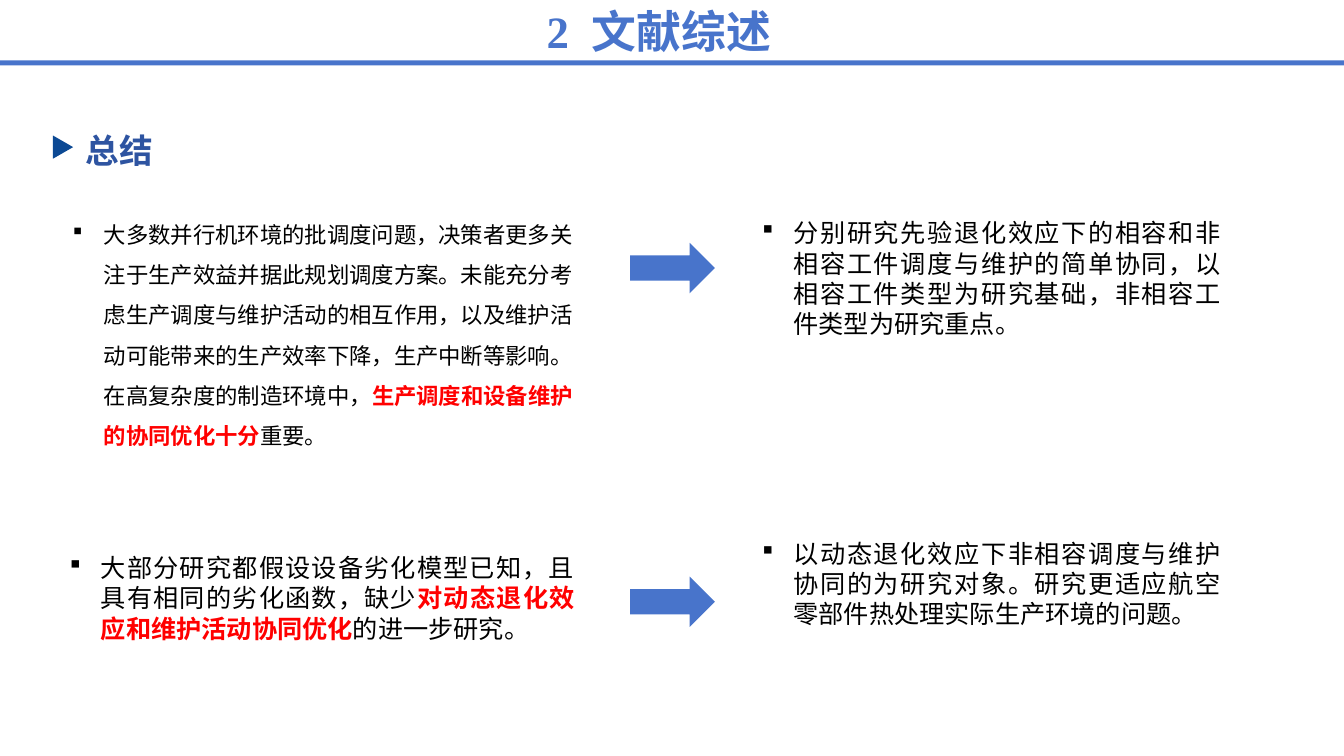
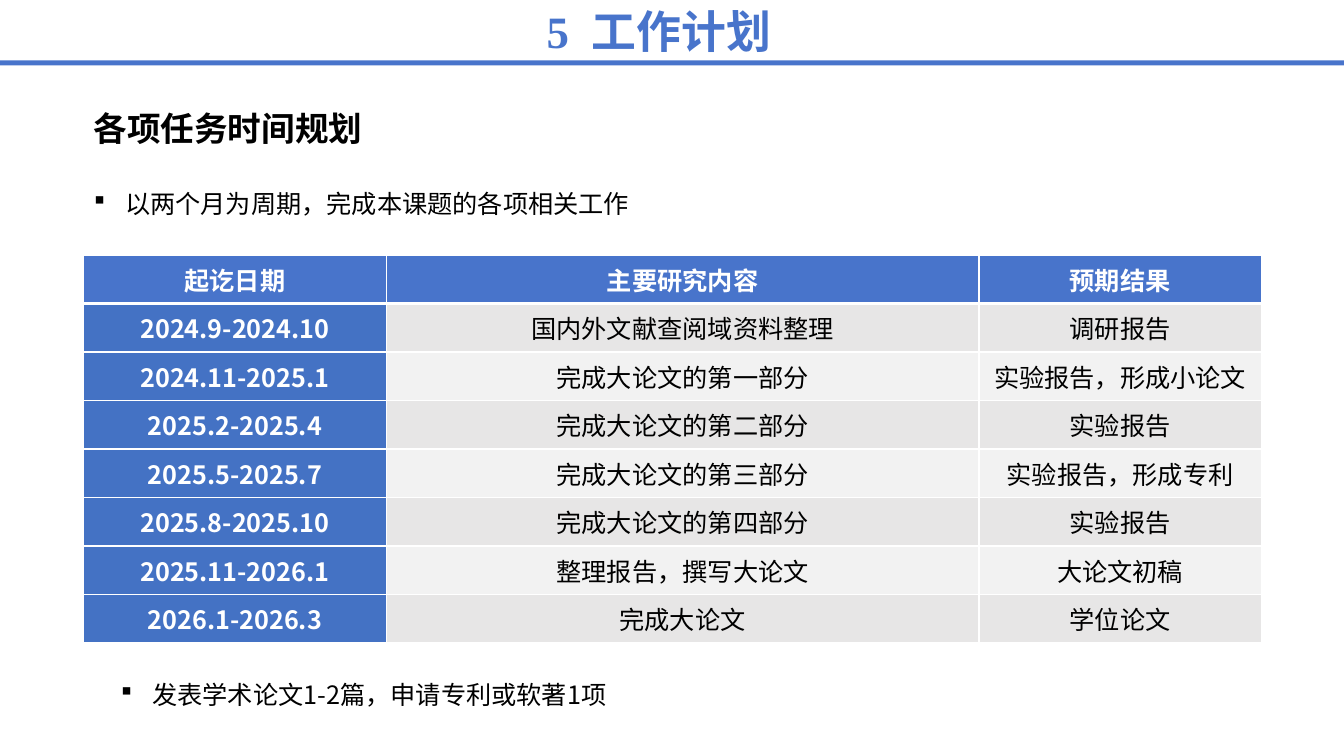
"""Build two thesis slides: a literature summary and a work plan."""
from dataclasses import dataclass

from lxml import etree
from pptx import Presentation
from pptx.dml.color import RGBColor
from pptx.enum.shapes import MSO_SHAPE
from pptx.enum.text import MSO_ANCHOR, MSO_AUTO_SIZE, PP_ALIGN
from pptx.oxml.ns import qn
from pptx.util import Inches, Pt

LEFT, MID, JUST = PP_ALIGN.LEFT, PP_ALIGN.CENTER, PP_ALIGN.JUSTIFY
TOP, CENTRE = MSO_ANCHOR.TOP, MSO_ANCHOR.MIDDLE
RECT, ARROW, WEDGE = MSO_SHAPE.RECTANGLE, MSO_SHAPE.RIGHT_ARROW, MSO_SHAPE.ISOSCELES_TRIANGLE
FIXED = MSO_AUTO_SIZE.NONE


@dataclass(frozen=True)
class Theme:
    blue: str = "4874CB"
    navy: str = "2E54A1"
    wedge: str = "0C4994"
    date: str = "4472C4"
    odd: str = "E7E6E6"
    even: str = "F2F2F2"
    ink: str = "000000"
    red: str = "FF0000"
    white: str = "FFFFFF"
    sans: str = "Noto Sans CJK SC"
    serif: str = "Times New Roman"
    title: int = 32
    head: int = 24
    body: int = 18
    small: int = 16


T = Theme()


def write(frame, runs, size=T.body, font=T.sans, align=LEFT, anchor=TOP, space=1.0, bullet=False):
    frame.word_wrap, frame.auto_size = True, FIXED
    frame.vertical_anchor = anchor
    para = frame.paragraphs[0]
    para.alignment, para.line_spacing = align, space
    para.space_before = Pt(0)
    if bullet:
        props = para._p.get_or_add_pPr()
        props.set("marL", str(Inches(0.31)))
        props.set("indent", str(-Inches(0.31)))
        etree.SubElement(props, qn("a:buFont"), typeface="Wingdings")
        etree.SubElement(props, qn("a:buChar"), char="§")
    for text, color, bold in runs:
        run = para.add_run()
        run.text = text
        run.font.size, run.font.bold, run.font.name = Pt(size), bold, font
        run.font.color.rgb = RGBColor.from_string(color)
        etree.SubElement(run._r.get_or_add_rPr(), qn("a:ea"), typeface=T.sans)
    return para


def draw(slide, kind, color, *box):
    shape = slide.shapes.add_shape(kind, *map(Inches, box))
    shape.shadow.inherit = False
    shape.fill.solid()
    shape.fill.fore_color.rgb = RGBColor.from_string(color)
    shape.line.fill.background()
    return shape


deck = Presentation()
deck.slide_width, deck.slide_height = Inches(13.33), Inches(7.5)

summary = (
    ((0.62, 2.01, 5.21, 2.73), T.small, LEFT, 1.5, (
        ("大多数并行机环境的批调度问题，决策者更多关注于生产效益并据此规划调度方案。"
         "未能充分考虑生产调度与维护活动的相互作用，以及维护活动可能带来的生产效率下降，"
         "生产中断等影响。在高复杂度的制造环境中，", T.ink, False),
        ("生产调度和设备维护的协同优化十分", T.red, True),
        ("重要。", T.ink, False))),
    ((0.59, 5.43, 5.21, 1.1), T.body, JUST, 1.0, (
        ("大部分研究都假设设备劣化模型已知，且具有相同的劣化函数，缺少", T.ink, False),
        ("对动态退化效应和维护活动协同优化", T.red, True),
        ("的进一步研究。", T.ink, False))),
    ((7.46, 2.11, 4.75, 1.43), T.body, JUST, 1.0, (
        ("分别研究先验退化效应下的相容和非相容工件调度与维护的简单协同，"
         "以相容工件类型为研究基础，非相容工件类型为研究重点。", T.ink, False),)),
    ((7.46, 5.29, 4.75, 1.1), T.body, JUST, 1.0, (
        ("以动态退化效应下非相容调度与维护协同的为研究对象。"
         "研究更适应航空零部件热处理实际生产环境的问题。", T.ink, False),)),
)
goals = (
    ((0.83, 1.82, 8.99, 0.43), T.body, LEFT, 1.0,
     (("以两个月为周期，完成本课题的各项相关工作", T.ink, False),)),
    ((1.1, 6.69, 8.99, 0.43), T.body, LEFT, 1.0,
     (("发表学术论文1-2篇，申请专利或软著1项", T.ink, False),)),
)

slides = []
for layout, number, name, lists in ((4, "2", "文献综述", summary), (3, "5", "工作计划", goals)):
    slide = deck.slides.add_slide(deck.slide_layouts[layout])
    slides.append(slide)
    draw(slide, RECT, T.blue, 0, 0.6, 13.33, 0.05)
    title, *bodies = slide.placeholders
    title.left, title.top, title.width, title.height = map(Inches, (-0.17, 0.02, 13.41, 0.57))
    para = write(title.text_frame, [(part, T.blue, True) for part in (number, " ", name)],
                 T.title, T.serif, MID, CENTRE)
    para.runs[1]._r.get_or_add_rPr().set("spc", "800")
    for body, (box, size, align, space, runs) in zip(bodies, lists):
        body.left, body.top, body.width, body.height = map(Inches, box)
        write(body.text_frame, runs, size, align=align, space=space, bullet=True)

review, plan = slides

draw(review, WEDGE, T.wedge, 0.51, 1.36, 0.23, 0.2).rotation = 90
for top in (2.41, 5.72):
    draw(review, ARROW, T.blue, 6.25, top, 0.84, 0.5)
frame = review.shapes.add_textbox(*map(Inches, (0.72, 1.12, 5.87, 0.67))).text_frame
frame.margin_left = frame.margin_right = Inches(0.13)
frame.margin_top = frame.margin_bottom = Inches(0.07)
write(frame, [("总结", T.navy, True)], T.head, T.serif, space=1.25)

frame = plan.shapes.add_textbox(*map(Inches, (0.83, 1.02, 6.9, 0.5))).text_frame
write(frame, [("各项任务时间规划", T.ink, True)], T.head)

rows = (
    ("起讫日期", "主要研究内容", "预期结果"),
    ("2024.9-2024.10", "国内外文献查阅域资料整理", "调研报告"),
    ("2024.11-2025.1", "完成大论文的第一部分", "实验报告，形成小论文"),
    ("2025.2-2025.4", "完成大论文的第二部分", "实验报告"),
    ("2025.5-2025.7", "完成大论文的第三部分", "实验报告，形成专利"),
    ("2025.8-2025.10", "完成大论文的第四部分", "实验报告"),
    ("2025.11-2026.1", "整理报告，撰写大论文", "大论文初稿"),
    ("2026.1-2026.3", "完成大论文", "学位论文"),
)
widths = (3, 5.88, 2.8)
table = plan.shapes.add_table(len(rows), len(widths),
                              *map(Inches, (0.83, 2.53, sum(widths), 3.85))).table
for column, width in zip(table.columns, widths):
    column.width = Inches(width)
for r, row in enumerate(rows):
    for c, text in enumerate(row):
        cell = table.cell(r, c)
        strong = r == 0 or c == 0
        fill = T.blue if r == 0 else T.date if c == 0 else T.odd if r % 2 else T.even
        write(cell.text_frame, [(text, T.white if strong else T.ink, strong)], align=MID)
        cell.vertical_anchor = CENTRE
        props = cell._tc.get_or_add_tcPr()
        for side in "LRTB":
            thick = (r, side) in ((0, "B"), (1, "T"))
            line = etree.SubElement(props, qn("a:ln" + side), w=str(Pt(3 if thick else 1)))
            paint = etree.SubElement(line, qn("a:solidFill"))
            etree.SubElement(paint, qn("a:srgbClr"), val=T.white)
        cell.fill.solid()
        cell.fill.fore_color.rgb = RGBColor.from_string(fill)

deck.save("out.pptx")
